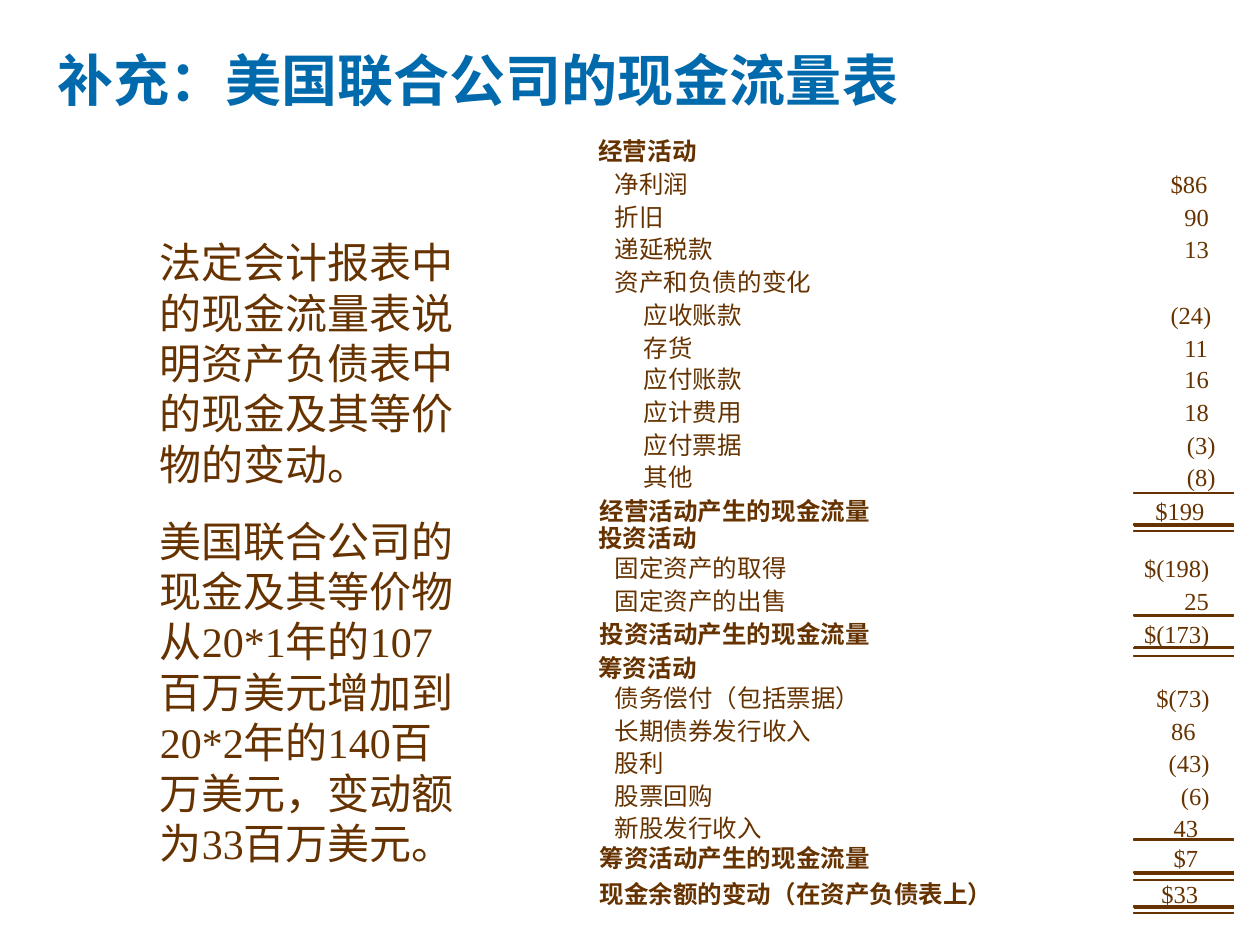
from lxml import etree
from pptx import Presentation
from pptx.dml.color import RGBColor
from pptx.enum.shapes import MSO_CONNECTOR, MSO_SHAPE
from pptx.enum.text import MSO_ANCHOR, MSO_AUTO_SIZE, PP_ALIGN
from pptx.oxml.ns import qn
from pptx.util import Inches, Pt

LEFT, RIGHT = PP_ALIGN.LEFT, PP_ALIGN.RIGHT
TOP, MIDDLE = MSO_ANCHOR.TOP, MSO_ANCHOR.MIDDLE
FIT_TEXT, NO_FIT = MSO_AUTO_SIZE.SHAPE_TO_FIT_TEXT, MSO_AUTO_SIZE.NONE
RECTANGLE, STRAIGHT = MSO_SHAPE.RECTANGLE, MSO_CONNECTOR.STRAIGHT
BROWN, BLUE, BLACK = "663300", "006AAC", "000000"


def color(value):
    return RGBColor.from_string(value)


def add_text(box, paragraphs, font, frame, align=LEFT, gap=0):
    text_frame = slide.shapes.add_textbox(*map(Inches, box)).text_frame
    for name, value in frame.items():
        setattr(text_frame, name, value)
    for index, text in enumerate(paragraphs):
        paragraph = text_frame.paragraphs[0] if index == 0 else text_frame.add_paragraph()
        paragraph.alignment = align
        paragraph._p.get_or_add_pPr().set("hangingPunct", "0")
        if index:
            paragraph.space_before = Pt(gap)
        run = paragraph.add_run()
        run.text = text
        for name, value in font.items():
            if name == "color":
                run.font.color.rgb = color(value)
            else:
                setattr(run.font, name, value)


presentation = Presentation()
presentation.slide_width = Inches(10)
presentation.slide_height = Inches(7.5)
slide = presentation.slides.add_slide(presentation.slide_layouts[6])

title_font = {"name": "Arial", "size": Pt(32), "bold": True, "color": BLUE}
body_font = {"name": "Times New Roman", "size": Pt(24), "color": BROWN}
entry_font = {**body_font, "size": Pt(14)}
total_font = {**entry_font, "bold": True}
title_frame = {"word_wrap": True, "vertical_anchor": MIDDLE, "auto_size": NO_FIT}
body_frame = {"word_wrap": True, "vertical_anchor": TOP, "auto_size": FIT_TEXT}
entry_frame = {
    "word_wrap": False, "vertical_anchor": TOP, "auto_size": FIT_TEXT,
    "margin_left": 0, "margin_right": 0, "margin_top": 0, "margin_bottom": 0,
}

add_text((0.36, 0, 9.15, 1.25), ["补充：美国联合公司的现金流量表"], title_font, title_frame)
add_text(
    (1.17, 1.83, 2.66, 5.51),
    [
        "法定会计报表中的现金流量表说明资产负债表中的现金及其等价物的变动。",
        "美国联合公司的现金及其等价物从20*1年的107百万美元增加到20*2年的140百万美元，变动额为33百万美元。",
    ],
    body_font, body_frame, gap=15,
)

RULE_LEFT, RULE_WIDTH = 9, 0.79
for height in (4.17, 5.14, 6.93, 7.2):
    hairline = slide.shapes.add_connector(
        STRAIGHT, Inches(RULE_LEFT), Inches(height),
        Inches(RULE_LEFT + RULE_WIDTH), Inches(height))
    hairline.line.color.rgb = color(BROWN)
    hairline.line.width = Pt(0)
    etree.SubElement(hairline._element.spPr, qn("a:effectLst"))

for top in (3.91, 4.16, 4.21, 4.88, 5.14, 5.2, 6.66, 6.92, 6.98, 7.19, 7.24):
    rule = slide.shapes.add_shape(
        RECTANGLE, Inches(RULE_LEFT), Inches(top), Inches(RULE_WIDTH), Inches(0.01))
    rule.shadow.inherit = False
    rule.fill.solid()
    rule.fill.fore_color.rgb = color(BLACK)
    rule.line.color.rgb = color(BROWN)
    rule.line.width = Pt(0.75)

HEADING, TOTAL, ITEM, SUBITEM = 4.75, 4.76, 4.88, 5.11
ROW_HEIGHT = 0.23
operating = [
    (1.08, HEADING, "经营活动", None, ""),
    (1.34, ITEM, "净利润", 9.29, "$86"),
    (1.6, ITEM, "折旧", 9.4, "90"),
    (1.86, ITEM, "递延税款", 9.4, "13"),
    (2.12, ITEM, "资产和负债的变化", None, ""),
    (2.38, SUBITEM, "应收账款", 9.29, "(24)"),
    (2.64, SUBITEM, "存货", 9.4, "11"),
    (2.89, SUBITEM, "应付账款", 9.4, "16"),
    (3.15, SUBITEM, "应计费用", 9.4, "18"),
    (3.41, SUBITEM, "应付票据", 9.42, "(3)"),
    (3.67, SUBITEM, "其他", 9.42, "(8)"),
    (3.94, TOTAL, "经营活动产生的现金流量", 9.17, "$199"),
]
investing = [
    (4.15, HEADING, "投资活动", None, ""),
    (4.39, ITEM, "固定资产的取得", 9.08, "$(198)"),
    (4.65, ITEM, "固定资产的出售", 9.4, "25"),
    (4.91, TOTAL, "投资活动产生的现金流量", 9.08, "$(173)"),
]
financing = [
    (5.18, HEADING, "筹资活动", None, ""),
    (5.42, ITEM, "债务偿付（包括票据）", 9.16, "$(73)"),
    (5.68, ITEM, "长期债券发行收入", 9.29, "86"),
    (5.94, ITEM, "股利", 9.26, "(43)"),
    (6.2, ITEM, "股票回购", 9.36, "(6)"),
    (6.45, ITEM, "新股发行收入", 9.31, "43"),
    (6.69, TOTAL, "筹资活动产生的现金流量", 9.31, "$7"),
    (6.98, TOTAL, "现金余额的变动（在资产负债表上）", 9.21, "$33"),
]

for section, amount_align in ((operating, LEFT), (investing, LEFT), (financing, RIGHT)):
    for top, label_left, label, amount_left, amount in section:
        label_font = total_font if label_left in (HEADING, TOTAL) else entry_font
        label_width = 0.2 * len(label)
        add_text((label_left, top, label_width, ROW_HEIGHT), [label], label_font, entry_frame)
        if amount:
            amount_width = sum(0.07 if mark in "()" else 0.1 for mark in amount)
            add_text((amount_left, top, amount_width, ROW_HEIGHT), [amount],
                     entry_font, entry_frame, amount_align)

presentation.save("out.pptx")
